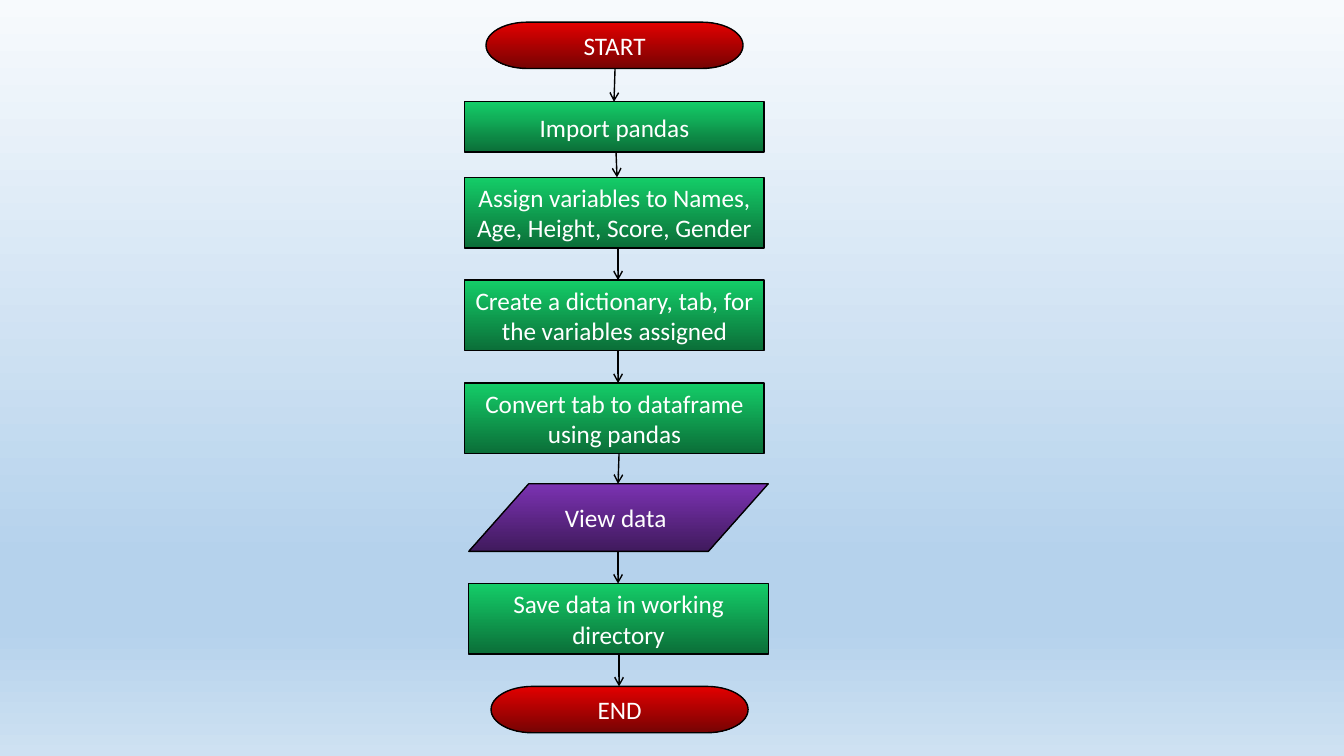
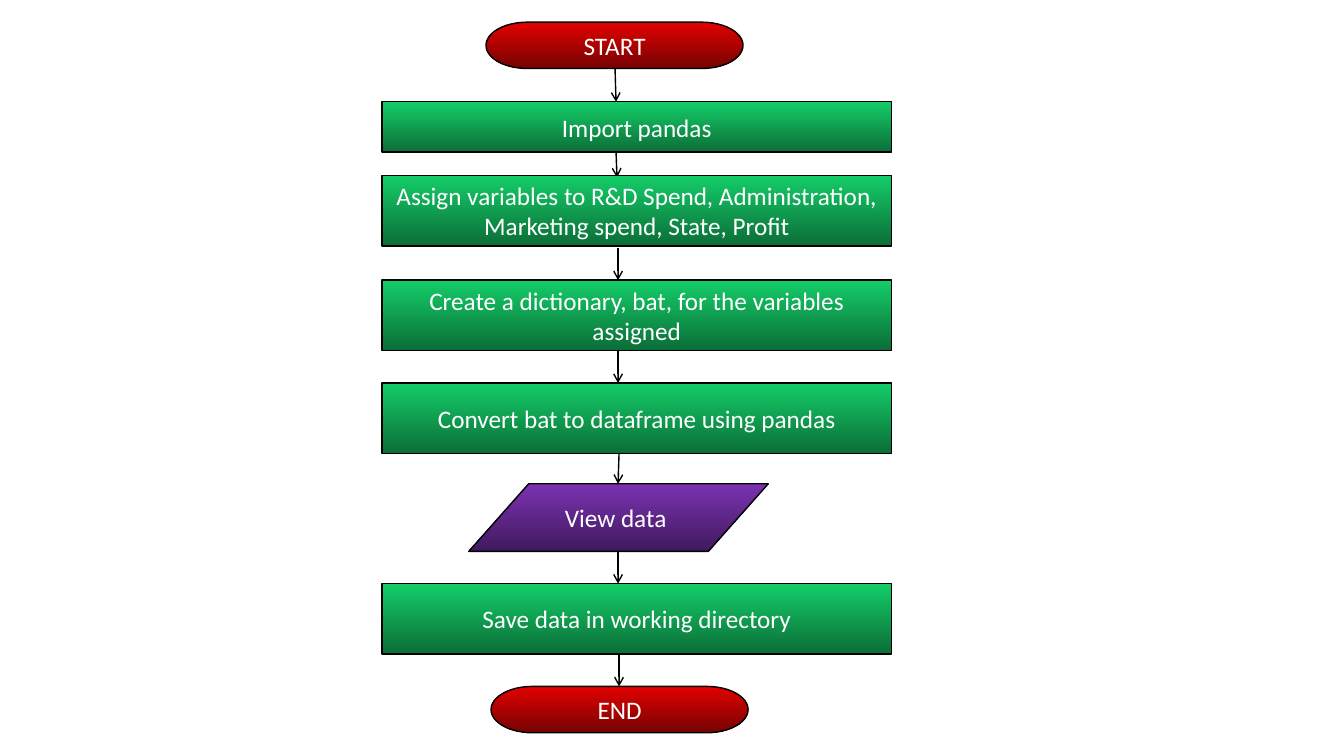
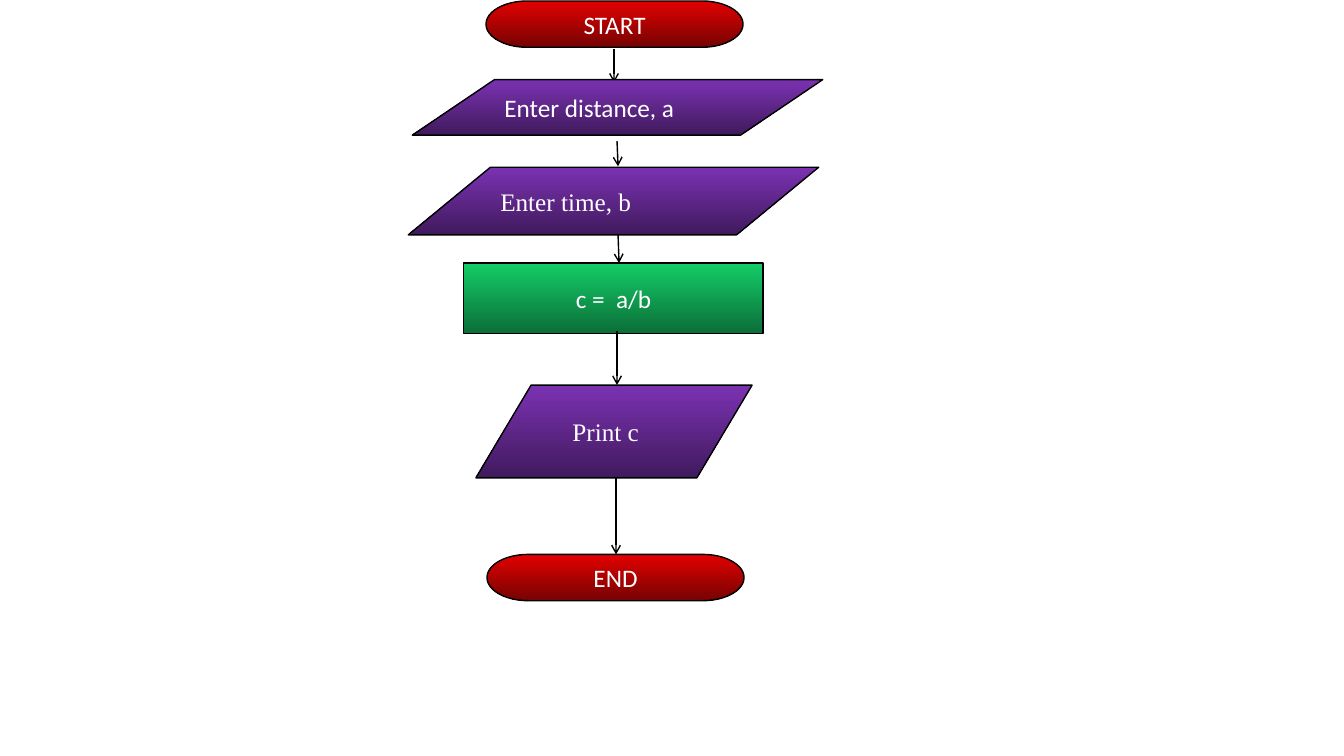
from copy import deepcopy
from dataclasses import dataclass

from pptx import Presentation
from pptx.dml.color import RGBColor as Rgb
from pptx.enum.shapes import MSO_CONNECTOR as Link, MSO_SHAPE as Form
from pptx.enum.text import MSO_ANCHOR as Anchor, PP_ALIGN as Align
from pptx.oxml.ns import qn
from pptx.oxml.xmlchemy import OxmlElement as Node
from pptx.util import Inches, Pt


@dataclass(frozen=True)
class Theme:
    red: tuple = ((0, "E30000"), (1, "760303"))
    green: tuple = ((0, "14CD68"), (1, "0B6E38"))
    violet: tuple = ((0, "7B32B2"), (1, "401A5D"))
    sky: tuple = ((0, "F7FAFD"), (0.74, "B5D2EC"), (0.83, "B5D2EC"), (1, "CEE1F2"))
    white: str = "FFFFFF"
    black: str = "000000"
    sans: str = "Calibri"
    serif: str = "Times New Roman"
    size: int = 18
    line: int = 1


@dataclass(frozen=True)
class Box:
    left: float
    top: float
    wide: float
    high: float

    def inner(self, left, top, wide, high):
        return Box(self.left + left, self.top + top, wide, high)


@dataclass(frozen=True)
class Step:
    kind: str
    text: str
    area: Box
    font: str = Theme.sans
    align: Align = Align.CENTER
    indent: float = 0


@dataclass(frozen=True)
class Arrow:
    start: float
    end: float
    drop: float = 0
    shift: float = 0


theme = Theme()
kinds = {
    "cap": (Form.FLOWCHART_TERMINATOR, theme.red),
    "task": (Form.RECTANGLE, theme.green),
    "data": (Form.FLOWCHART_DATA, theme.violet),
}


def shade(fill, root, stops):
    fill.gradient()
    fill.gradient_angle = 270
    group = root.find(".//" + qn("a:gsLst"))
    while len(group) < len(stops):
        group.append(deepcopy(group[0]))
    for stop, (place, color) in zip(fill.gradient_stops, stops):
        stop.position = place
        stop.color.rgb = Rgb.from_string(color)


def outline(line):
    line.color.rgb = Rgb.from_string(theme.black)
    line.width = Pt(theme.line)


def draw_step(slide, step):
    form, stops = kinds[step.kind]
    area = step.area
    shape = slide.shapes.add_shape(
        form, Inches(area.left), Inches(area.top), Inches(area.wide), Inches(area.high)
    )
    shape.shadow.inherit = False
    shade(shape.fill, shape._element.spPr, stops)
    outline(shape.line)
    frame = shape.text_frame
    frame.word_wrap = True
    frame.vertical_anchor = Anchor.MIDDLE
    frame.margin_left = Inches(0.1 + step.indent)
    para = frame.paragraphs[0]
    para.alignment = step.align
    run = para.add_run()
    run.text = step.text
    run.font.name = step.font
    run.font.size = Pt(theme.size)
    run.font.color.rgb = Rgb.from_string(theme.white)


def draw_arrow(slide, box, arrow, above, below):
    link = slide.shapes.add_connector(
        Link.STRAIGHT,
        Inches(box.left + arrow.start),
        Inches(above.top + above.high + arrow.drop),
        Inches(box.left + arrow.end),
        Inches(below.top + arrow.shift),
    )
    outline(link.line)
    tail = Node("a:tailEnd")
    tail.set("type", "arrow")
    link.line._get_or_add_ln().append(tail)
    link._element.spPr.append(Node("a:effectLst"))


def draw_flow(slide, box, steps, arrows):
    draw_step(slide, steps[0])
    for above, below, arrow in zip(steps, steps[1:], arrows):
        draw_arrow(slide, box, arrow, above.area, below.area)
        draw_step(slide, below)


def cap(box, text, left, top):
    return Step("cap", text, box.inner(left, top, 2.55, 0.46))


def frame_flow(slide, box, fields, name, wide, lefts, lift, lean):
    left, last = lefts

    def task(text, top, high=0.7, side=left):
        return Step("task", text, box.inner(side, top, wide, high))

    steps = [
        cap(box, "START", 1.03, 0),
        task("Import pandas", 0.79, 0.5),
        task(f"Assign variables to {fields}", 1.54 - lift),
        task(f"Create a dictionary, {name}, for the variables assigned", 2.56),
        task(f"Convert {name} to dataframe using pandas", 3.58),
        Step("data", "View data ", box.inner(0.86, 4.58, 2.97, 0.67)),
        task("Save data in working directory", 5.57, side=last),
        cap(box, "END", 1.08, 6.59),
    ]
    arrows = [
        Arrow(2.31, lean),
        Arrow(2.32, 2.33, shift=lift),
        Arrow(2.34, 2.34, drop=lift),
        Arrow(2.34, 2.34),
        Arrow(2.35, 2.34),
        Arrow(2.34, 2.34),
        Arrow(2.35, 2.35),
    ]
    draw_flow(slide, box, steps, arrows)


def speed_flow(slide, box):
    def data(text, area, font=theme.serif, indent=0):
        return Step("data", text, box.inner(*area), font, Align.LEFT, indent)

    steps = [
        cap(box, "START", 0.77, 0),
        data("Enter distance, a", (0.04, 0.78, 4.07, 0.55), theme.sans),
        data("Enter time, b", (0, 1.65, 4.07, 0.67)),
        Step("task", "c =  a/b", box.inner(0.55, 2.6, 2.97, 0.7)),
        data("Print c", (0.67, 3.81, 2.74, 0.92), indent=0.31),
        cap(box, "END", 0.78, 5.49),
    ]
    arrows = [
        Arrow(2.04, 2.04, 0.02, 0.03),
        Arrow(2.07, 2.08, 0.06, -0.01),
        Arrow(2.08, 2.09),
        Arrow(2.07, 2.07, -0.03),
        Arrow(2.06, 2.06),
    ]
    draw_flow(slide, box, steps, arrows)


def main():
    deck = Presentation()
    deck.slide_width = Inches(13.33)
    deck.slide_height = Inches(7.5)
    blank = deck.slide_layouts[6]
    scores, spend, speed = [deck.slides.add_slide(blank) for _ in range(3)]
    shade(scores.background.fill, scores._element, theme.sky)
    for slide in (spend, speed):
        slide.background.fill.solid()
        slide.background.fill.fore_color.rgb = Rgb.from_string(theme.white)
    box = Box(3.79, 0.22, 5.05, 7.05)
    frame_flow(
        scores, box, "Names, Age, Height, Score, Gender", "tab",
        2.97, (0.82, 0.86), 0, 2.3,
    )
    frame_flow(
        spend, box, "R&D Spend, Administration, Marketing spend, State, Profit", "bat",
        box.wide, (0, 0), 0.02, 2.32,
    )
    speed_flow(speed, Box(4.05, 0.01, 4.11, 5.95))
    deck.save("out.pptx")


main()
